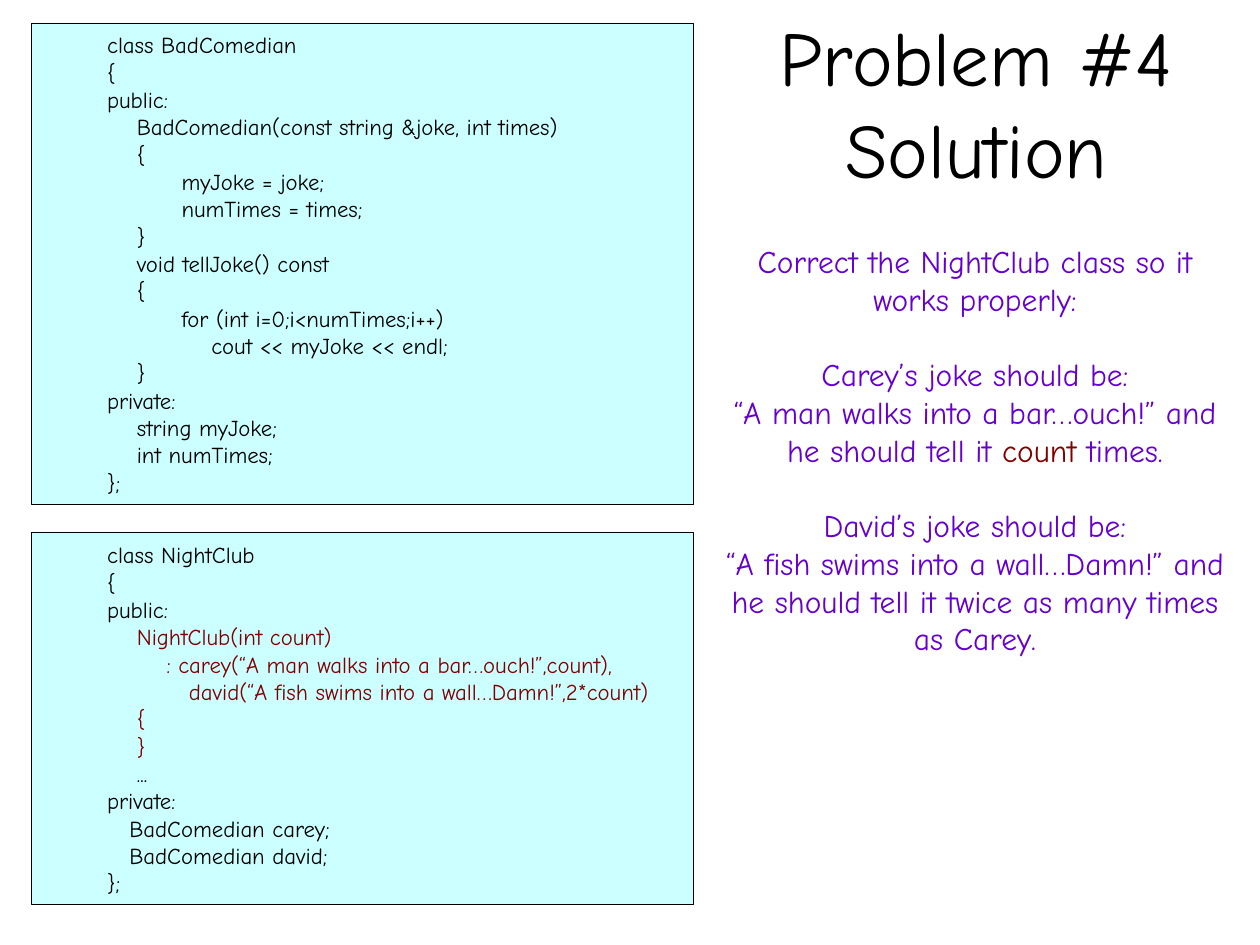
from pptx import Presentation
from pptx.dml.color import RGBColor
from pptx.enum.shapes import MSO_SHAPE
from pptx.enum.text import MSO_ANCHOR, PP_ALIGN
from pptx.util import Cm, Pt

RECT = MSO_SHAPE.RECTANGLE
TOP, MIDDLE = MSO_ANCHOR.TOP, MSO_ANCHOR.MIDDLE
LEFT, CENTER = PP_ALIGN.LEFT, PP_ALIGN.CENTER
BLACK = RGBColor(0x00, 0x00, 0x00)
CYAN = RGBColor(0xCC, 0xFF, 0xFF)
PURPLE = RGBColor(0x66, 0x00, 0xCC)
MAROON = RGBColor(0x80, 0x00, 0x00)
FONT = "Comic Neue"
BASE, STEP = 1.27, 0.15  # code margin and width of one indent unit, in cm

# Each code line: indent units, text, colour
COMIC = [
    (0, "class BadComedian", BLACK),
    (0, "{", BLACK),
    (0, "public:", BLACK),
    (4, "BadComedian(const string &joke, int times)", BLACK),
    (4, "{", BLACK),
    (10, "myJoke = joke;", BLACK),
    (10, "numTimes = times;", BLACK),
    (4, "}", BLACK),
    (4, "void tellJoke() const", BLACK),
    (4, "{", BLACK),
    (10, "for (int i=0;i<numTimes;i++)", BLACK),
    (14, "cout << myJoke << endl;", BLACK),
    (4, "}", BLACK),
    (0, "private:", BLACK),
    (4, "string myJoke;", BLACK),
    (4, "int numTimes;", BLACK),
    (0, "};", BLACK),
]
CLUB = [
    (0, "class NightClub", BLACK),
    (0, "{", BLACK),
    (0, "public:", BLACK),
    (4, "NightClub(int count)", MAROON),
    (8, ": carey(“A man walks into a bar…ouch!”,count),", MAROON),
    (11, "david(“A fish swims into a wall…Damn!”,2*count)", MAROON),
    (4, "{", MAROON),
    (4, "}", MAROON),
    (4, "...", BLACK),
    (0, "private:", BLACK),
    (3, "BadComedian carey;", BLACK),
    (3, "BadComedian david;", BLACK),
    (0, "};", BLACK),
]
# Each paragraph: space before in points, runs of text and colour
TASK = [
    (0, [("Correct the NightClub class so it works properly:", PURPLE)]),
    (21.5, [("Carey’s joke should be:", PURPLE)]),
    (0, [("“A man walks into a bar…ouch!” and he should tell it ", PURPLE),
         ("count", MAROON), (" times.", PURPLE)]),
    (21.5, [("David’s joke should be:", PURPLE)]),
    (0, [("“A fish swims into a wall…Damn!” and he should tell it "
          "twice as many times as Carey.", PURPLE)]),
]
TITLE = [(0, [("Problem #4", BLACK)]), (0, [("Solution", BLACK)])]


def add_para(frame, index, runs, size, align):
    """Fill the first paragraph or append one, run by run."""
    para = frame.add_paragraph() if index else frame.paragraphs[0]
    para.alignment = align
    for text, color in runs:
        run = para.add_run()
        run.text = text
        run.font.name = FONT
        run.font.size = Pt(size)
        run.font.color.rgb = color
    return para


def add_code(slide, box, lines):
    """Draw a code panel with indented lines."""
    panel = slide.shapes.add_shape(RECT, *map(Cm, box))
    panel.shadow.inherit = False
    panel.fill.solid()
    panel.fill.fore_color.rgb = CYAN
    panel.line.color.rgb = BLACK
    panel.line.width = Pt(0.25)
    frame = panel.text_frame
    frame.word_wrap = True
    frame.vertical_anchor = MIDDLE
    for index, (units, text, color) in enumerate(lines):
        para = add_para(frame, index, [(text, color)], 13, LEFT)
        para._p.get_or_add_pPr().set("marL", str(Cm(BASE + STEP * units)))


def add_prose(slide, box, paras, size, anchor):
    """Place centred text with spaced paragraphs."""
    frame = slide.shapes.add_textbox(*map(Cm, box)).text_frame
    frame.word_wrap = True
    frame.vertical_anchor = anchor
    for index, (gap, runs) in enumerate(paras):
        add_para(frame, index, runs, size, CENTER).space_before = Pt(gap)


def build():
    """Build the slide and save it."""
    deck = Presentation()
    deck.slide_width, deck.slide_height = Cm(25.4), Cm(19.05)
    slide = deck.slides.add_slide(deck.slide_layouts[6])
    add_code(slide, (0.64, 0.46, 13.34, 9.7), COMIC)
    add_code(slide, (0.64, 10.74, 13.34, 7.5), CLUB)
    add_prose(slide, (14.2, 0.1, 10.97, 3.9), TITLE, 44, MIDDLE)
    add_prose(slide, (14.17, 4.75, 10.97, 9.5), TASK, 18, TOP)
    deck.save("out.pptx")


build()
